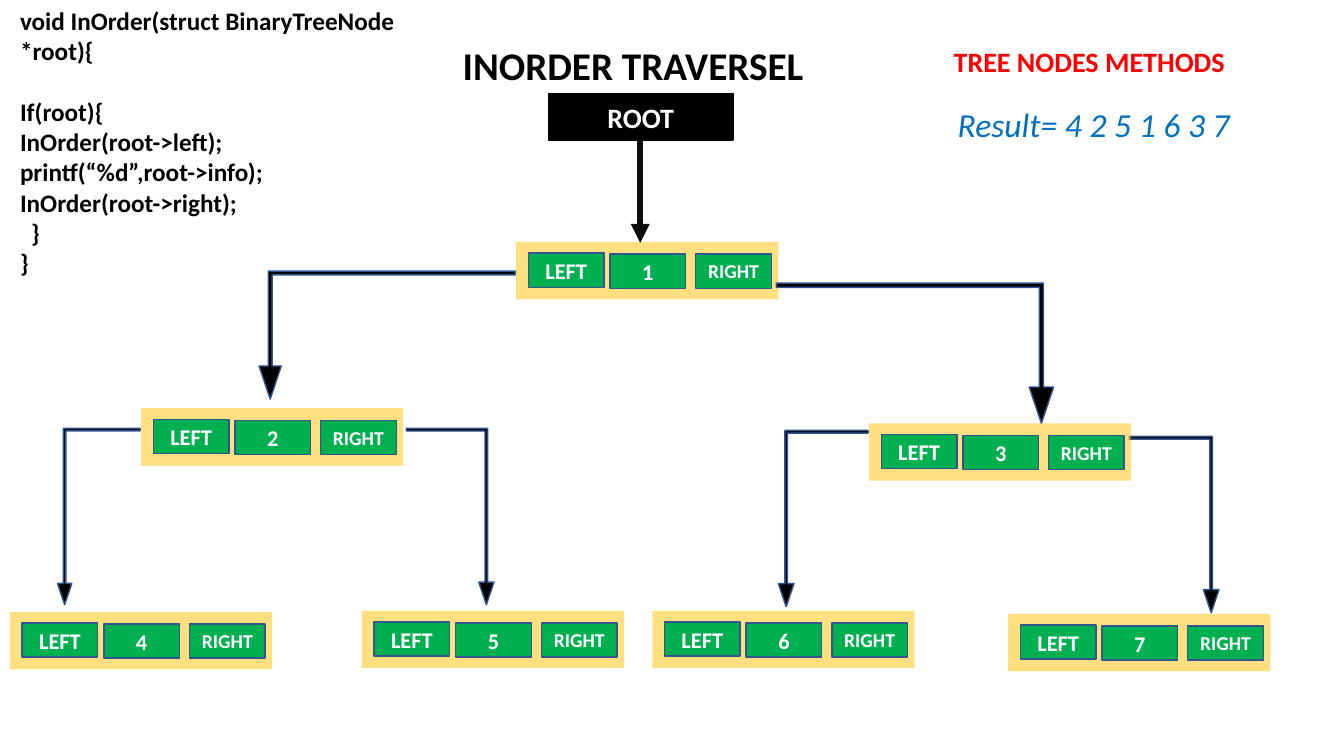
import lxml.etree
import pptx
import pptx.util
import pptx.dml.color
import pptx.enum.shapes
import pptx.enum.text
import pptx.oxml.ns

Inches = pptx.util.Inches
Pt = pptx.util.Pt
SHAPES = pptx.enum.shapes.MSO_SHAPE
qn = pptx.oxml.ns.qn

BLACK, WHITE, RED, BLUE = "000000", "FFFFFF", "FF0000", "0070C0"
GREEN, AMBER, OUTLINE, CHARCOAL = "00B050", "FFC000", "325491", "0D0D0D"


def color(hex_text):
    """Turn a hex string into a colour."""
    return pptx.dml.color.RGBColor.from_string(hex_text)


def add_xml(parent, tag, **attributes):
    """Append a drawing element with the given attributes."""
    lxml.etree.SubElement(parent, qn(tag), attributes)


class Page:
    """The current slide with its style."""

    font = "Calibri"

    def __init__(self, deck):
        """Add a blank slide to the deck."""
        self.slide = deck.slides.add_slide(deck.slide_layouts[6])

    def style_text(self, frame, size, hex_text, bold=True, italic=False):
        """Format every run of a text frame."""
        for para in frame.paragraphs:
            for span in para.runs:
                span.font.name = self.font
                span.font.size = Pt(size)
                span.font.bold = bold
                span.font.italic = italic
                span.font.color.rgb = color(hex_text)

    def text(self, place, words, size, hex_text, **style):
        """Add a text box that grows with its text."""
        box = self.slide.shapes.add_textbox(*map(Inches, place))
        frame = box.text_frame
        frame.text = words
        frame.word_wrap = True
        frame.auto_size = pptx.enum.text.MSO_AUTO_SIZE.SHAPE_TO_FIT_TEXT
        self.style_text(frame, size, hex_text, **style)
        return frame

    def shape(self, kind, place, fill, line=None, parent=None):
        """Add a preset shape to the slide or to a group."""
        shapes = (parent or self.slide).shapes
        shape = shapes.add_shape(kind, *map(Inches, place))
        shape.shadow.inherit = False
        shape.fill.solid()
        shape.fill.fore_color.rgb = color(fill)
        if line:
            shape.line.color.rgb = color(line)
            shape.line.width = Pt(1)
        else:
            shape.line.fill.background()
        return shape

    def label(self, place, words, size, fill, line, parent=None):
        """Add a rectangle with centred white text."""
        box = self.shape(SHAPES.RECTANGLE, place, fill, line, parent)
        frame = box.text_frame
        frame.text = words
        frame.vertical_anchor = pptx.enum.text.MSO_ANCHOR.MIDDLE
        frame.paragraphs[0].alignment = pptx.enum.text.PP_ALIGN.CENTER
        self.style_text(frame, size, WHITE)

    def node(self, left, top, value):
        """Add a grouped tree node: left link, value, right link."""
        group = self.slide.shapes.add_group_shape()
        back = self.shape(SHAPES.RECTANGLE, (left, top, 2.6, 0.57), AMBER, parent=group)
        tint = next(back._element.spPr.iter(qn("a:srgbClr")))
        add_xml(tint, "a:alpha", val="50000")
        cells = ((0.12, 0.11, "LEFT", 16), (0.93, 0.12, value, 16), (1.78, 0.12, "RIGHT", 14))
        for across, down, words, size in cells:
            place = (left + across, top + down, 0.75, 0.34)
            self.label(place, words, size, GREEN, OUTLINE, group)

    def branch(self, place, to_left):
        """Add a bent arrow that runs sideways and then down."""
        arrow = self.shape(SHAPES.BENT_UP_ARROW, place, BLACK, OUTLINE)
        for index, ratio in enumerate((0.03, 0.087, 0.259)):
            arrow.adjustments[index] = ratio
        frame = arrow._element.spPr.find(qn("a:xfrm"))
        frame.set("flipV", "1")
        if to_left:
            frame.set("flipH", "1")

    def arrow(self, start, end, hex_text, width):
        """Add a straight line with an arrowhead at its end."""
        straight = pptx.enum.shapes.MSO_CONNECTOR.STRAIGHT
        line = self.slide.shapes.add_connector(straight, *map(Inches, start + end))
        line.line.color.rgb = color(hex_text)
        line.line.width = Pt(width)
        properties = line._element.spPr
        add_xml(properties.find(qn("a:ln")), "a:tailEnd", type="triangle")
        add_xml(properties, "a:effectLst")


deck = pptx.Presentation()
deck.slide_width, deck.slide_height = Inches(13.33), Inches(7.5)
page = Page(deck)

page.text((4.49, 0.36, 4.36, 0.57), "INORDER TRAVERSEL", 28, BLACK)
page.node(5.12, 2.4, "1")
page.label((5.44, 0.93, 1.83, 0.46), "ROOT", 20, BLACK, BLACK)
page.arrow((6.35, 1.39), (6.35, 2.41), CHARCOAL, 4.5)

BRANCHES = (
    ((2.57, 2.69, 2.54, 1.27), True),
    ((11.2, 4.33, 0.89, 1.75), False),
    ((4.03, 4.25, 0.87, 1.75), False),
    ((7.7, 2.81, 2.75, 1.39), False),
    ((0.57, 4.25, 0.82, 1.75), True),
    ((7.72, 4.27, 0.89, 1.75), True),
)
for place, to_left in BRANCHES:
    page.branch(place, to_left)

NODES = ((8.62, 4.2, "3"), (10, 6.09, "7"), (6.47, 6.06, "6"),
         (0.1, 6.07, "4"), (3.59, 6.06, "5"), (1.4, 4.05, "2"))
for left, top, value in NODES:
    page.node(left, top, value)

page.text((9.36, 0.39, 3.25, 0.44), "TREE NODES METHODS", 20, RED)

CODE = (
    "void InOrder(struct BinaryTreeNode *root){",
    "If(root){",
    "InOrder(root->left);",
    "printf(“%d”,root->info);",
    "InOrder(root->right);",
    "}",
    "}",
)
code = page.text((0.1, 0, 4.28, 2.83), "\n".join(CODE), 18, BLACK)
code.paragraphs[1].space_before = Pt(22)
inner_brace = code.paragraphs[5]._p.get_or_add_pPr()
inner_brace.set("marL", str(Inches(0.11)))

page.text((9.4, 0.98, 3.6, 0.5), "Result= 4 2 5 1 6 3 7", 24, BLUE, bold=False, italic=True)

deck.save("out.pptx")
